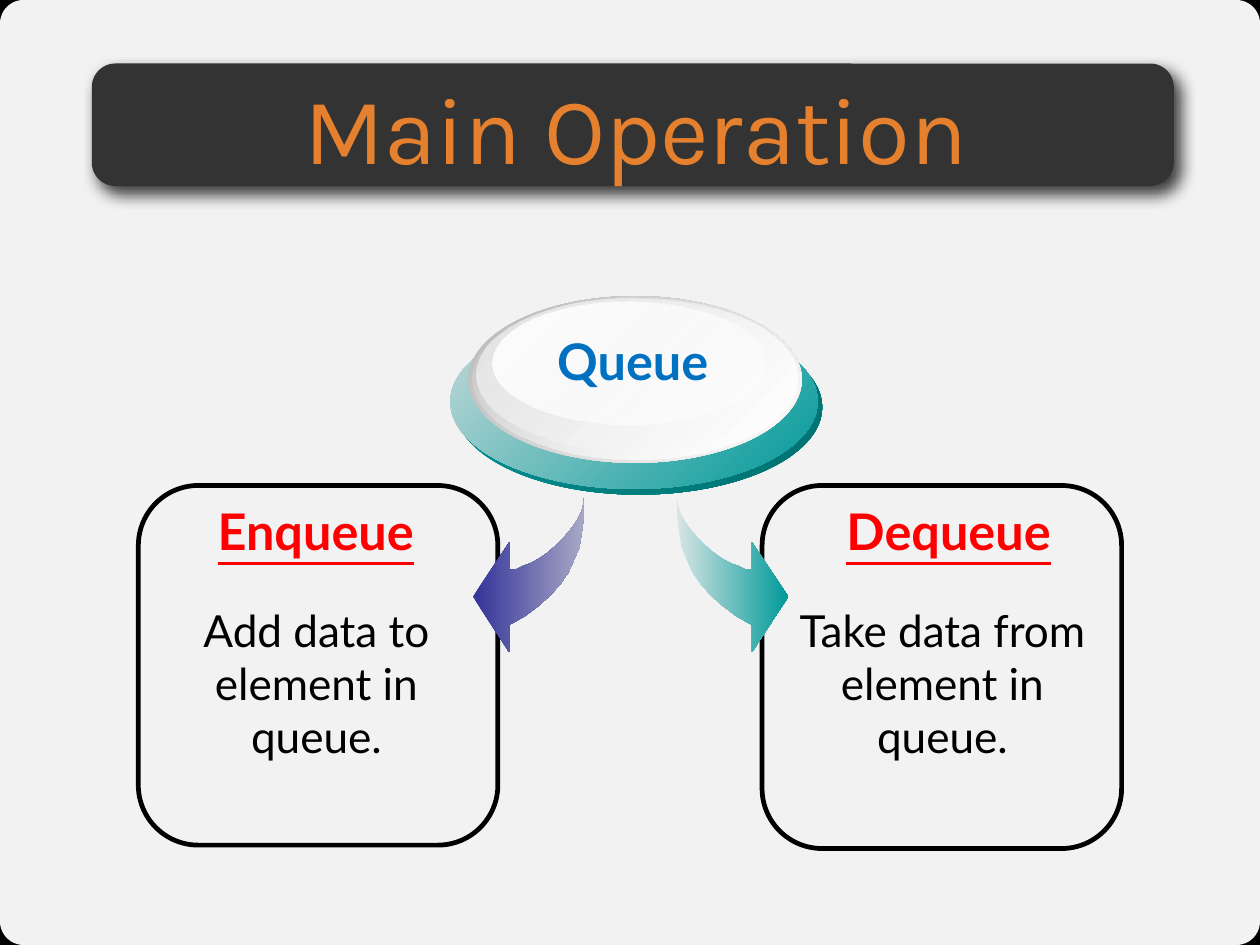
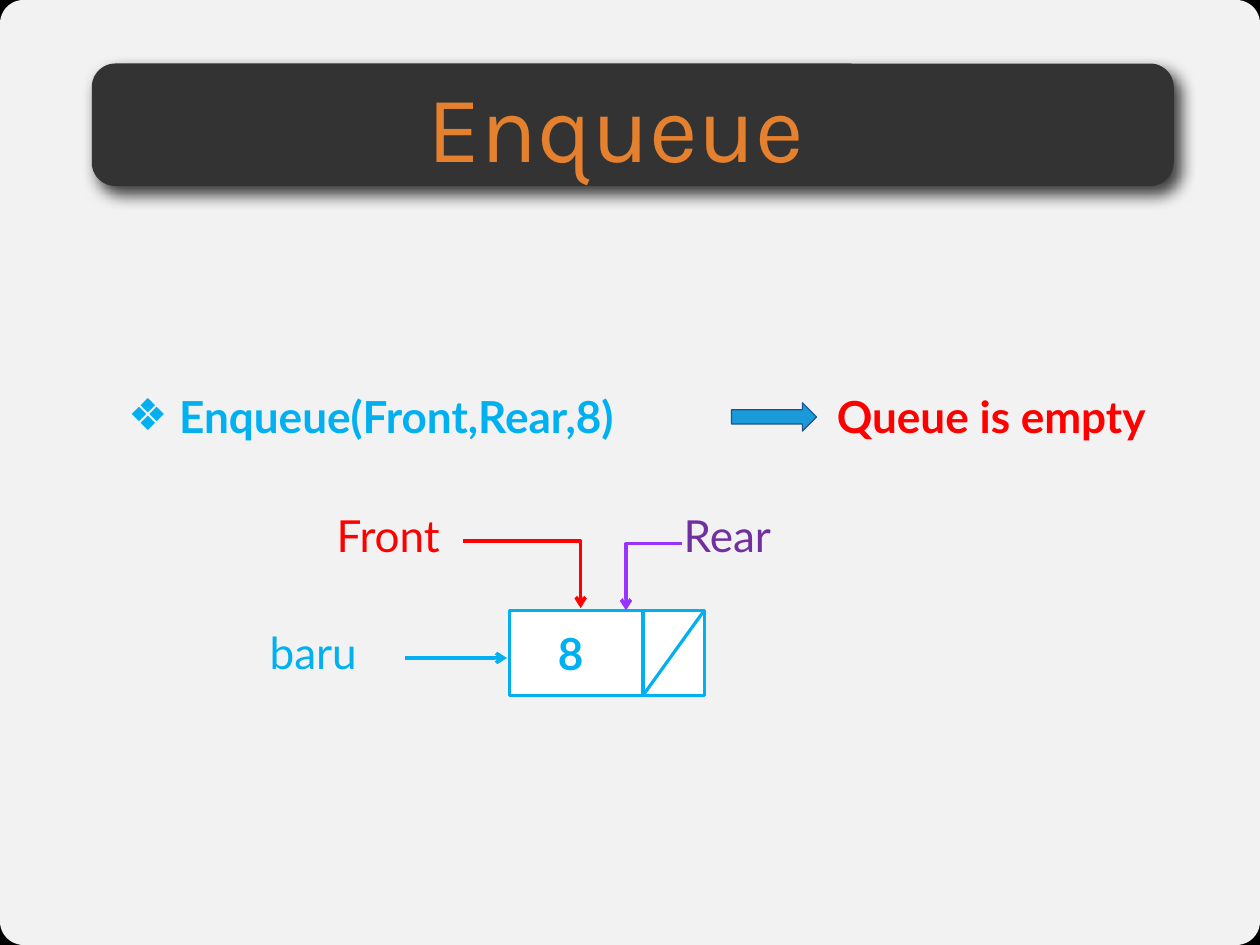
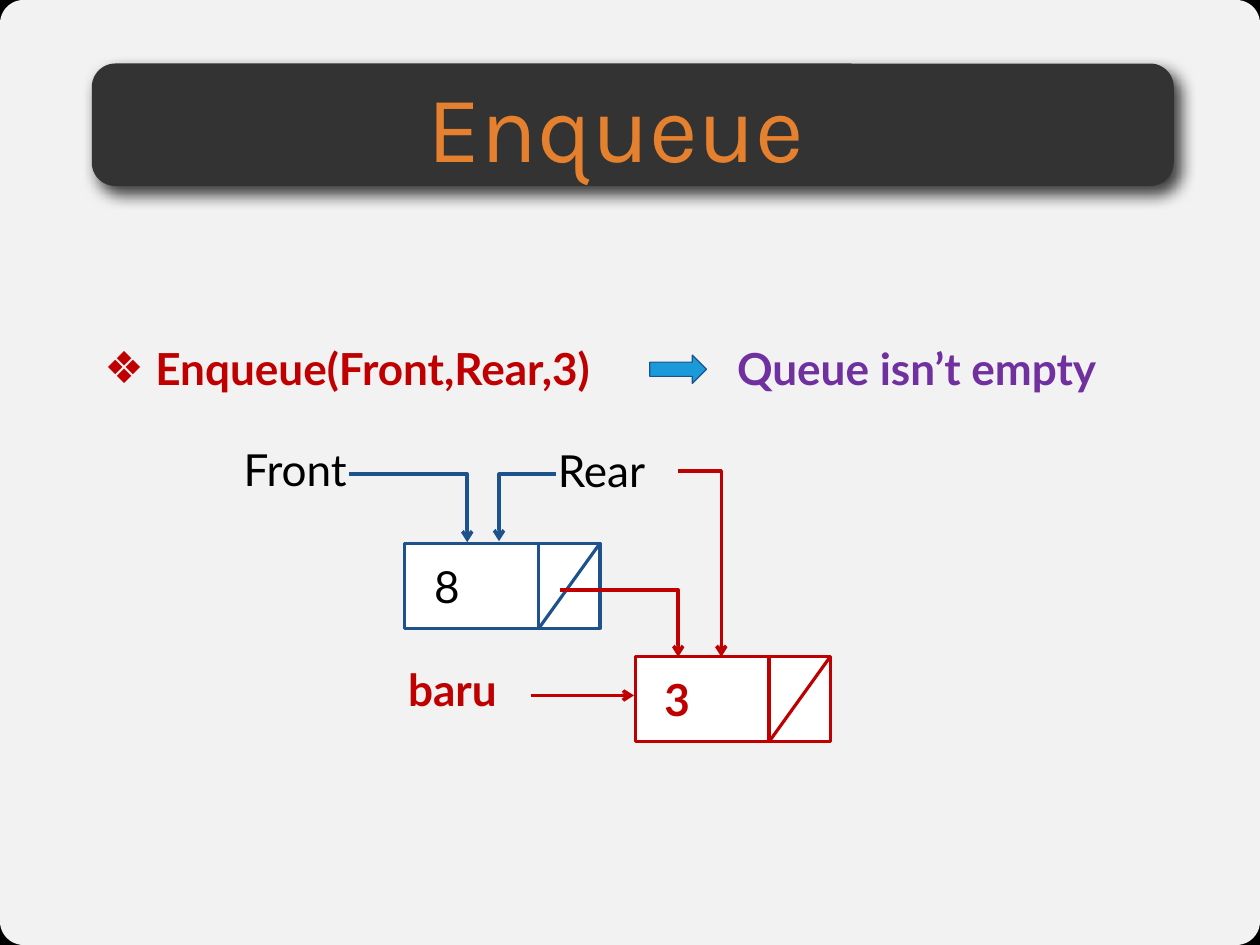
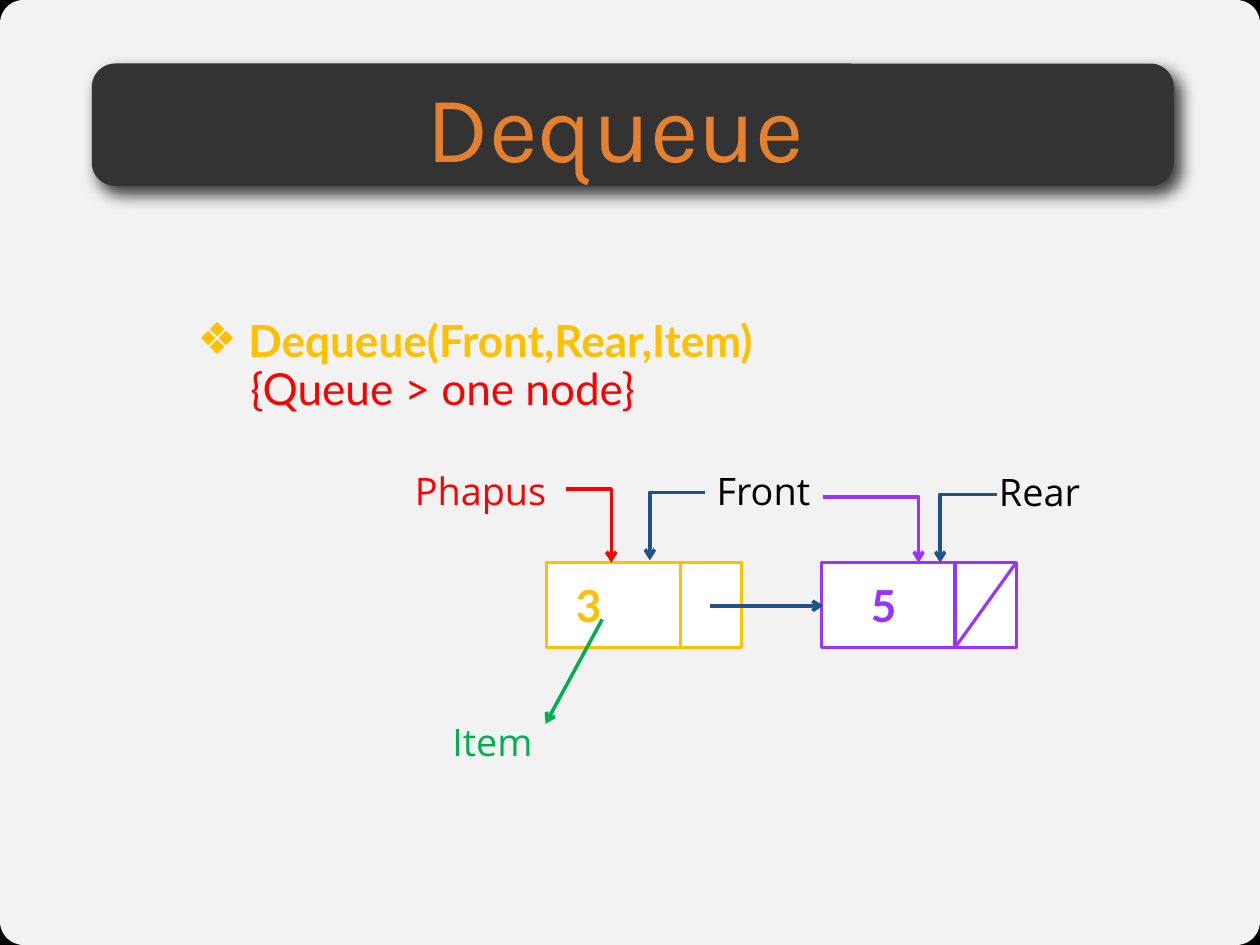
from lxml.etree import SubElement
from pptx import Presentation
from pptx.dml.color import RGBColor
from pptx.enum.shapes import MSO_CONNECTOR as Connector, MSO_SHAPE as Preset
from pptx.enum.text import MSO_ANCHOR as Anchor, MSO_AUTO_SIZE as AutoSize, PP_ALIGN as Align
from pptx.oxml.ns import qn
from pptx.util import Inches, Pt

COLORS = {
    "black": "000000", "white": "FFFFFF", "band": "333333", "orange": "E5812E",
    "red": "FF0000", "dark red": "C00000", "sky": "00B0F0", "blue": "0070C0",
    "navy": "1D528D", "arrow": "1B9AD9", "purple": "7030A0", "violet": "9933FF",
    "gold": "FFC000", "green": "00B050", "indigo": "333399", "lavender": "A8A8C6",
    "teal": "009999", "dark teal": "007070", "pale teal": "C6DADA", "mist": "D8E5E5",
    "gray": "B6B6B6", "light gray": "E6E6E6",
}
SLIDE_SIZE = (11.11, 8.33)
NODE_WIDTH, NODE_HEIGHT, DATA_WIDTH = 1.72, 0.75, 1.18
MIRROR_SUM = 11.12
LEFT_ARROW = [
    (5.15, 4.39), (5.15, 4.54), (5.13, 4.69), (5.11, 4.82), (5.06, 4.94), (5.01, 5.05),
    (4.94, 5.15), (4.85, 5.25), (4.75, 5.34), (4.63, 5.43), (4.49, 5.51), (4.49, 5.75),
    (4.17, 5.26), (4.49, 4.78), (4.49, 5.02), (4.55, 5.02), (4.61, 4.99), (4.69, 4.96),
    (4.76, 4.92), (4.83, 4.87), (4.9, 4.81), (4.97, 4.74), (5.03, 4.67), (5.08, 4.6),
    (5.12, 4.53), (5.14, 4.46),
]


def rgb(name):
    """Return the named colour."""
    return RGBColor.from_string(COLORS[name])


def inches(values):
    """Convert a sequence of numbers to lengths."""
    return [Inches(value) for value in values]


def write(frame, text, size=28, font="Lato", color="black", bold=False,
          underline=False, align=Align.LEFT):
    """Put one formatted paragraph into a text frame."""
    frame.word_wrap = True
    paragraph = frame.paragraphs[0]
    paragraph.alignment = align
    paragraph.space_before = Pt(0)
    run = paragraph.add_run()
    run.text = text
    run.font.name, run.font.size = font, Pt(size)
    run.font.bold, run.font.underline = bold, underline
    run.font.color.rgb = rgb(color)


def set_opacity(color_element, percent):
    """Make a colour element partly transparent."""
    SubElement(color_element, qn("a:alpha")).set("val", str(percent * 1000))


def fill_gradient(shape, stops, angle=0):
    """Fill a shape with two (colour, opacity) stops."""
    shape.fill.gradient()
    shape.fill.gradient_angle = angle
    for stop, (color, _) in zip(shape.fill.gradient_stops, stops):
        stop.color.rgb = rgb(color)
    for element, (_, opacity) in zip(shape.element.xpath(".//a:gs/a:srgbClr"), stops):
        if opacity < 100:
            set_opacity(element, opacity)


class Deck:
    """Hold the presentation, its style and the current slide."""

    def __init__(self):
        """Start an empty presentation."""
        self.presentation = Presentation()
        self.presentation.slide_width, self.presentation.slide_height = inches(SLIDE_SIZE)
        self.slide = None

    def new_slide(self, title, layout=1, at=(0.68, 0.6)):
        """Add a slide with its title."""
        self.slide = self.presentation.slides.add_slide(
            self.presentation.slide_layouts[layout])
        shape = self.slide.shapes.title
        self.place(shape, (*at, 9.5, 1))
        frame = shape.text_frame
        frame.auto_size, frame.vertical_anchor = AutoSize.NONE, Anchor.MIDDLE
        frame.margin_left = frame.margin_right = frame.margin_top = frame.margin_bottom = 0
        write(frame, title, size=60, font="Karla", color="orange", align=Align.CENTER)

    def dress_master(self):
        """Give the master its background, panel and title band."""
        master = self.presentation.slide_master
        master.background.fill.solid()
        master.background.fill.fore_color.rgb = rgb("black")
        panel = self.shape(Preset.ROUNDED_RECTANGLE, (0, 0, *SLIDE_SIZE), "white", radius=0.025)
        set_opacity(panel.element.xpath(".//p:spPr/a:solidFill/a:srgbClr")[0], 95)
        band = self.shape(Preset.ROUNDED_RECTANGLE, (0.81, 0.56, 9.54, 1.08), "band",
                          radius=0.192)
        shadow = SubElement(band.element.xpath(".//a:effectLst")[0], qn("a:outerShdw"),
                            blurRad=str(Pt(10)), dist=str(Pt(6)), dir=str(51 * 60000),
                            algn="tl", rotWithShape="0")
        shadow_color = SubElement(shadow, qn("a:srgbClr"), val=COLORS["black"])
        set_opacity(shadow_color, 75)
        for number, shape in enumerate((panel, band), start=101):
            shape.element.xpath(".//p:cNvPr")[0].set("id", str(number))
            master.shapes.element.append(shape.element)

    def place(self, shape, at):
        """Move and size a shape."""
        shape.left, shape.top, shape.width, shape.height = inches(at)

    def shape(self, preset, at, fill=None, line=None, width=1, radius=None):
        """Add a preset shape."""
        shape = self.slide.shapes.add_shape(preset, *inches(at))
        shape.shadow.inherit = False
        if radius is not None:
            shape.adjustments[0] = radius
        if fill:
            shape.fill.solid()
            shape.fill.fore_color.rgb = rgb(fill)
        else:
            shape.fill.background()
        if line:
            shape.line.color.rgb = rgb(line)
            shape.line.width = Pt(width)
        else:
            shape.line.fill.background()
        return shape

    def outline(self, points, stops):
        """Add a closed outline with a gradient fill."""
        start, *others = [inches(point) for point in points]
        builder = self.slide.shapes.build_freeform(*start)
        builder.add_line_segments(others, close=True)
        shape = builder.convert_to_shape()
        shape.shadow.inherit = False
        shape.line.fill.background()
        fill_gradient(shape, stops)

    def text(self, text, at, **style):
        """Add a text box."""
        box = self.slide.shapes.add_textbox(*inches(at))
        write(box.text_frame, text, **style)
        box.text_frame.auto_size = AutoSize.SHAPE_TO_FIT_TEXT

    def bullet(self, text, at, color):
        """Write the bulleted call into the body placeholder."""
        body = self.slide.placeholders[1]
        self.place(body, at)
        body.text_frame.auto_size = AutoSize.NONE
        write(body.text_frame, text, color=color, bold=True)
        properties = body.element.xpath(".//a:pPr")[0]
        properties.set("marL", str(Inches(0.45)))
        properties.set("indent", str(-Inches(0.45)))
        SubElement(properties, qn("a:buChar")).set("char", "\u2756")

    def line(self, start, end, color, width=2.25, arrow=False, kind=Connector.STRAIGHT):
        """Add a line, with an arrowhead at its end if asked."""
        connector = self.slide.shapes.add_connector(kind, *inches(start), *inches(end))
        connector.line.color.rgb = rgb(color)
        connector.line.width = Pt(width)
        if arrow:
            SubElement(connector.element.xpath(".//a:ln")[0], qn("a:tailEnd")).set("type", "arrow")
        SubElement(connector.element.xpath("./p:spPr")[0], qn("a:effectLst"))
        return connector

    def elbow(self, start, end, color):
        """Add an arrow that runs sideways and then down."""
        connector = self.line(start, end, color, arrow=True, kind=Connector.ELBOW)
        connector.element.xpath(".//a:prstGeom")[0].set("prst", "bentConnector2")
        if end[0] < start[0]:
            frame = connector.element.xpath(".//a:xfrm")[0]
            del frame.attrib["flipH"]
            frame.set("rot", str(180 * 60000))
            frame.set("flipV", "1")

    def node(self, value, left, top, border, indent=0.16, last=True, **style):
        """Draw a list node with a data cell and a pointer cell."""
        divider, bottom = left + DATA_WIDTH, top + NODE_HEIGHT
        self.shape(Preset.RECTANGLE, (left, top, NODE_WIDTH, NODE_HEIGHT), "white", border, 2)
        self.line((divider, top), (divider, bottom), border)
        self.text(value, (left + indent, top + 0.09, 0.63, 0.57), **style)
        if last:
            self.line((left + NODE_WIDTH, top), (divider, bottom), border, 2)

    def state(self, text, arrow_at, left, color):
        """Add a block arrow followed by the state of the queue."""
        arrow_left, arrow_top, arrow_width = arrow_at
        self.shape(Preset.RIGHT_ARROW, (arrow_left, arrow_top, arrow_width, 0.25),
                   "arrow", "navy", 0.75)
        self.text(text, (left, arrow_top - 0.17, 3.75, 0.57), color=color, bold=True)

    def disc(self):
        """Draw the layered disc named Queue."""
        layers = [
            ((4.01, 2.82, 3.24, 1.54), ("teal", 100), ("dark teal", 100)),
            ((3.97, 2.77, 3.24, 1.54), ("pale teal", 100), ("teal", 100)),
            ((4.13, 2.61, 2.94, 1.47), ("gray", 100), ("white", 100)),
            ((4.17, 2.62, 2.86, 1.43), ("white", 0), ("white", 100)),
            ((4.2, 2.63, 2.73, 1.34), ("light gray", 100), ("white", 48)),
            ((4.34, 2.66, 2.4, 1.08), ("white", 100), ("white", 38)),
        ]
        for at, *stops in layers:
            fill_gradient(self.shape(Preset.OVAL, at), stops, angle=315)
        self.text("Queue", (4.78, 2.86, 1.6, 0.64), size=32, color="blue", bold=True,
                  align=Align.CENTER)


def main_operation(deck):
    """Build the overview of both operations."""
    deck.new_slide("Main Operation", layout=5, at=(0.86, 0.62))
    deck.dress_master()
    cards = [
        ("Enqueue", "Add data to element in queue.", (1.22, 4.28, 3.17, 3.17), 1.67, 1.31, 2.96),
        ("Dequeue", "Take data from element in queue.", (6.72, 4.28, 3.17, 3.2), 7.25, 6.81, 3),
    ]
    for name, detail, at, name_left, detail_left, detail_width in cards:
        deck.shape(Preset.ROUNDED_RECTANGLE, at, line="black", width=3, radius=0.167)
        deck.text(name, (name_left, 4.36, 2.23, 0.64), size=32, color="red", bold=True,
                  underline=True, align=Align.CENTER)
        deck.text(detail, (detail_left, 5.27, detail_width, 1.51), align=Align.CENTER)
    deck.outline(LEFT_ARROW, [("indigo", 100), ("lavender", 100)])
    deck.outline([(MIRROR_SUM - x, y) for x, y in LEFT_ARROW], [("mist", 100), ("teal", 100)])
    deck.disc()


def enqueue_empty(deck):
    """Build the insertion into an empty queue."""
    deck.new_slide("Enqueue")
    deck.bullet("Enqueue(Front,Rear,8)", (1.03, 3.38, 5.33, 0.57), "sky")
    deck.state("Queue is empty", (6.45, 3.55, 0.75), 7.28, "red")
    deck.node("8", 4.49, 5.38, "sky", indent=0.33, color="sky", bold=True)
    deck.text("baru", (2.28, 5.46, 1.26, 0.57), color="sky")
    deck.line((3.57, 5.8), (4.47, 5.8), "sky", arrow=True)
    deck.text("Front", (2.87, 4.43, 1.26, 0.57), color="red")
    deck.elbow((4.08, 4.77), (5.12, 5.36), "red")
    deck.elbow((6.01, 4.79), (5.52, 5.38), "violet")
    deck.text("Rear", (5.93, 4.43, 1.26, 0.57), color="purple")


def enqueue_filled(deck):
    """Build the insertion into a queue that holds a node."""
    deck.new_slide("Enqueue")
    deck.bullet("Enqueue(Front,Rear,3)", (0.82, 2.96, 5.25, 0.57), "dark red")
    deck.state("Queue isn\u2019t empty", (5.73, 3.13, 0.5), 6.4, "purple")
    deck.node("3", 5.6, 5.79, "dark red", color="dark red", bold=True)
    deck.text("baru", (3.5, 5.79, 1.26, 0.57), color="dark red", bold=True)
    deck.line((4.68, 6.13), (5.59, 6.13), "dark red", arrow=True)
    deck.node("8", 3.57, 4.79, "navy")
    deck.text("Front", (2.05, 3.85, 1.26, 0.57))
    deck.elbow((3.08, 4.18), (4.12, 4.78), "navy")
    deck.elbow((4.9, 4.18), (4.4, 4.77), "navy")
    deck.text("Rear", (4.82, 3.86, 1.26, 0.57))
    deck.elbow((4.94, 5.2), (5.98, 5.79), "dark red")
    deck.elbow((5.98, 4.15), (6.36, 5.79), "dark red")


def dequeue(deck):
    """Build the removal from a queue of several nodes."""
    deck.new_slide("Dequeue")
    deck.bullet("Dequeue(Front,Rear,Item)", (1.64, 2.71, 5.58, 0.57), "gold")
    deck.text("{Queue > one node}", (2.11, 3.14, 4.78, 0.57), color="red")
    deck.node("5", 7.24, 4.96, "violet", indent=0.34, color="violet", bold=True)
    deck.node("3", 4.82, 4.96, "gold", last=False, color="gold", bold=True)
    labels = [("Phapus", 3.56, 4.07, "red"), ("Front", 6.22, 4.07, "black"),
              ("Rear", 8.71, 4.08, "black"), ("Item", 3.89, 6.29, "green")]
    for name, left, top, color in labels:
        deck.text(name, (left, top, 1.58, 0.5), size=24, font="Open Sans", color=color)
    deck.elbow((4.99, 4.31), (5.39, 4.96), "red")
    deck.elbow((6.22, 4.34), (5.73, 4.94), "navy")
    deck.elbow((7.26, 4.38), (8.1, 4.96), "violet")
    deck.elbow((8.79, 4.36), (8.29, 4.96), "navy")
    deck.line((6.26, 5.34), (7.26, 5.34), "navy", arrow=True)
    deck.line((5.31, 5.46), (4.81, 6.38), "green", arrow=True)


def main():
    """Build and save the presentation."""
    deck = Deck()
    for build in (main_operation, enqueue_empty, enqueue_filled, dequeue):
        build(deck)
    deck.presentation.save("out.pptx")


main()
